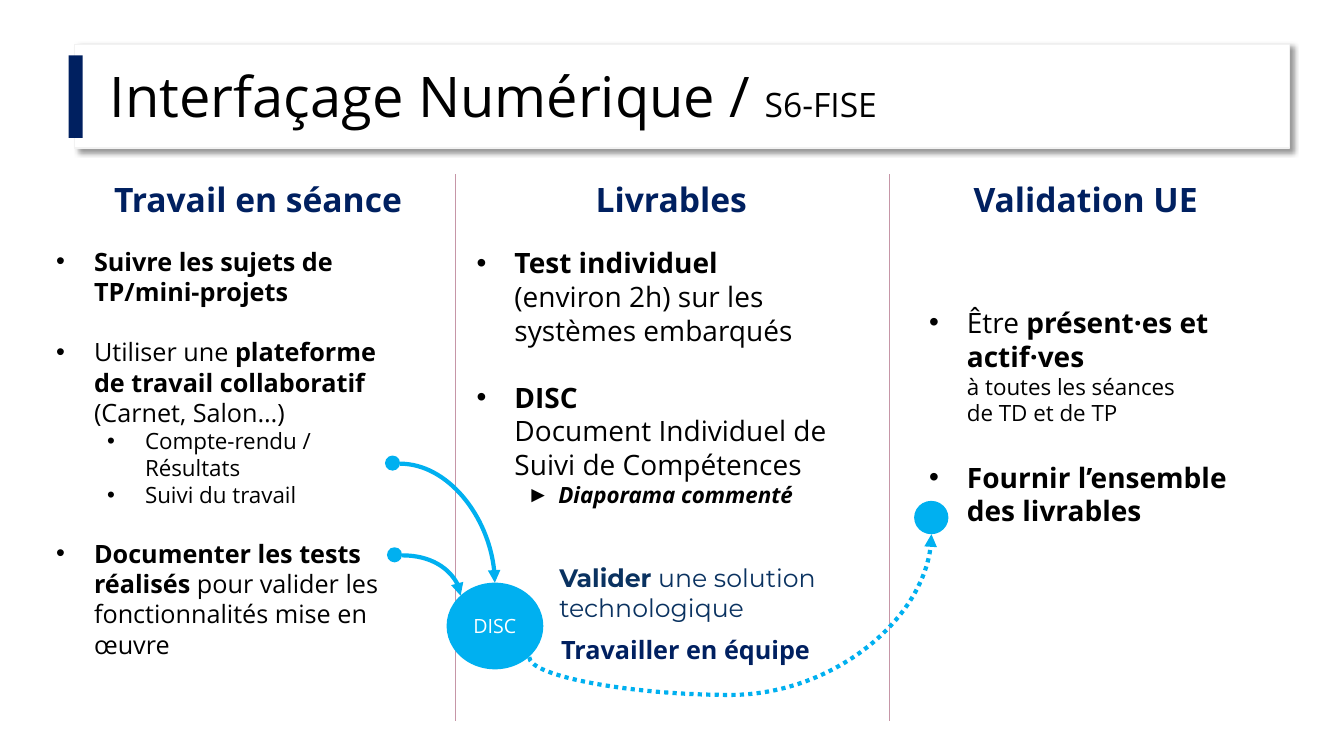
import collections
import copy
import dataclasses

import pptx
import pptx.dml.color
import pptx.enum.dml
import pptx.enum.shapes
import pptx.enum.text
import pptx.oxml
import pptx.oxml.ns
import pptx.util

Pt = pptx.util.Pt
SHAPE = pptx.enum.shapes.MSO_SHAPE
CONNECTOR = pptx.enum.shapes.MSO_CONNECTOR
ALIGN = pptx.enum.text.PP_ALIGN
ANCHOR = pptx.enum.text.MSO_ANCHOR
FIT = pptx.enum.text.MSO_AUTO_SIZE
ROUND_DOT = pptx.enum.dml.MSO_LINE.ROUND_DOT

Box = collections.namedtuple("Box", "left top width height")
Item = collections.namedtuple("Item", "runs bullet level margin hang gap")


@dataclasses.dataclass(frozen=True)
class Theme:
    """Colours, fonts and type sizes of the slide."""
    navy: str = "002060"
    ink: str = "0A3260"
    sky: str = "00B0F0"
    black: str = "000000"
    white: str = "FFFFFF"
    edge: str = "F2F2F2"
    divider: str = "C696A7"
    font: str = "Open Sans"
    accent_font: str = "Montserrat"
    title: int = 40
    heading: int = 24
    large: int = 20
    body: int = 18
    small: int = 16
    label: int = 14


THEME = Theme()


def rgb(code):
    """Return the colour for a hex code."""
    return pptx.dml.color.RGBColor.from_string(code)


def apply(target, values):
    """Set every format value on the target."""
    for name, value in values.items():
        setattr(target, name, value)


def run(text, size, color=THEME.black, **style):
    """Describe a piece of text and its format."""
    return text, color, {"name": THEME.font, "size": Pt(size), "bold": False, **style}


def item(*runs, bullet="•", level=0, margin=27, hang=27, gap=0):
    """Describe a bulleted paragraph."""
    return Item(runs, bullet, level, margin, hang, gap)


def write(paragraph, runs):
    """Write formatted runs, turning newlines into line breaks."""
    for text, color, style in runs:
        for index, part in enumerate(text.split("\n")):
            if index:
                paragraph.add_line_break()
                paragraph._p[-1].append(copy.deepcopy(piece._r.rPr))
            if part:
                piece = paragraph.add_run()
                piece.text = part
                apply(piece.font, style)
                piece.font.color.rgb = rgb(color)


def xml_into(parent, tag, **attributes):
    """Append a drawing element with its attributes."""
    child = pptx.oxml.parse_xml(f"<a:{tag} {pptx.oxml.ns.nsdecls('a')}/>")
    for name, value in attributes.items():
        child.set(name, str(value))
    parent.append(child)
    return child


def add_text(slide, box, runs=(), align=ALIGN.LEFT):
    """Add a wrapping text box and return its frame."""
    frame = slide.shapes.add_textbox(*map(Pt, box)).text_frame
    apply(frame, {"word_wrap": True, "auto_size": FIT.SHAPE_TO_FIT_TEXT})
    frame.paragraphs[0].alignment = align
    write(frame.paragraphs[0], runs)
    return frame


def add_block(slide, kind, box, color):
    """Add a plain filled shape without outline or shadow."""
    block = slide.shapes.add_shape(kind, *map(Pt, box))
    block.shadow.inherit = False
    block.fill.solid()
    block.fill.fore_color.rgb = rgb(color)
    block.line.fill.background()
    return block


def add_line(slide, kind, begin, end, color, width):
    """Add a connector without shadow."""
    line = slide.shapes.add_connector(kind, *map(Pt, begin + end))
    line.line.color.rgb = rgb(color)
    line.line.width = Pt(width)
    xml_into(line._element.spPr, "effectLst")
    return line


def add_arrow(slide, begin, end, preset):
    """Add a curved arrow that uses the given connector preset."""
    arrow = add_line(slide, CONNECTOR.CURVE, begin, end, THEME.sky, 3)
    properties = arrow._element.spPr
    properties.find(pptx.oxml.ns.qn("a:prstGeom")).set("prst", preset)
    xml_into(properties.find(pptx.oxml.ns.qn("a:ln")), "tailEnd", type="triangle")
    return arrow


def add_sweep(slide, begin, end, bulge):
    """Add a dotted arrow that leaves downwards and arrives from below."""
    middle_x, middle_y = ((a + b) / 2 for a, b in zip(begin, end))
    half_x, half_y = (begin[1] - end[1]) / 2, (end[0] - begin[0]) / 2
    sweep = add_arrow(slide, (middle_x + half_x, middle_y + half_y),
                      (middle_x - half_x, middle_y - half_y), "curvedConnector3")
    sweep.line.dash_style = ROUND_DOT
    properties = sweep._element.spPr
    properties.find(pptx.oxml.ns.qn("a:xfrm")).set("rot", "5400000")
    guides = properties.find(".//" + pptx.oxml.ns.qn("a:avLst"))
    xml_into(guides, "gd", name="adj1", fmla=f"val {bulge}")


def add_banner(slide, box):
    """Build the shadowed title banner with its side bar."""
    panel = add_block(slide, SHAPE.RECTANGLE, box, THEME.white)
    panel.line.color.rgb = rgb(THEME.edge)
    panel.line.width = Pt(1)
    effects = panel._element.spPr.find(pptx.oxml.ns.qn("a:effectLst"))
    shadow = xml_into(effects, "outerShdw", blurRad=Pt(4), dist=Pt(3),
                      dir=2700000, algn="tl", rotWithShape=0)
    xml_into(xml_into(shadow, "srgbClr", val=THEME.black), "alpha", val=40000)

    title = slide.shapes.title
    slide.shapes._spTree.append(title._element)
    place = Box(box.left + 18, box.top + 14.4, 706.3, 55.4)
    apply(title, {name: Pt(value) for name, value in place._asdict().items()})
    apply(title.text_frame, {"vertical_anchor": ANCHOR.TOP, "auto_size": FIT.NONE,
                             "word_wrap": True})
    heading = title.text_frame.paragraphs[0]
    apply(heading, {"alignment": ALIGN.LEFT, "line_spacing": 0.9})
    write(heading, [run("Interfaçage Numérique / ", THEME.title),
                    run("S6-FISE", THEME.heading)])
    bar = Box(box.left - 4.3, box.top + 7.9, 10.1, 59)
    add_block(slide, SHAPE.RECTANGLE, bar, THEME.navy)


def add_column(slide, box, heading, heading_shift, drop, items):
    """Build one column with its heading and bulleted list."""
    add_text(slide, Box(box.left + heading_shift, box.top, 226.1, 36),
             [run(heading, THEME.heading, THEME.navy, bold=True)], ALIGN.CENTER)
    frame = add_text(slide, Box(box.left, box.top + drop, box.width, box.height - drop))
    for index, entry in enumerate(items):
        paragraph = frame.add_paragraph() if index else frame.paragraphs[0]
        apply(paragraph, {"level": entry.level, "space_before": Pt(entry.gap)})
        properties = paragraph._p.get_or_add_pPr()
        properties.set("marL", str(Pt(entry.margin)))
        properties.set("indent", str(-Pt(entry.hang)))
        xml_into(properties, "buFont", typeface="Arial")
        xml_into(properties, "buChar", char=entry.bullet)
        write(paragraph, entry.runs)


def add_flow(slide, box):
    """Build the path from the session work through DISC to validation."""
    def at(x, y):
        return box.left + x, box.top + y

    add_text(slide, Box(*at(117.4, 72.8), 205.2, 51.1),
             [run("Valider", THEME.body, THEME.ink, name=THEME.accent_font, bold=True),
              run(" une solution technologique", THEME.body, THEME.ink, name=THEME.accent_font)])
    add_text(slide, Box(*at(118.8, 123.9), 213.1, 28.8),
             [run("Travailler en équipe", THEME.body, THEME.navy, bold=True)])
    for x, y, width, height in ((0, 0, 10.8, 10.8), (1.4, 65.5, 10.8, 10.8),
                                (378, 32.4, 24.5, 23.8)):
        add_block(slide, SHAPE.OVAL, Box(*at(x, y), width, height), THEME.sky)
    disc = add_block(slide, SHAPE.OVAL, Box(*at(44, 90.8), 69.1, 61.9), THEME.sky)
    disc.text_frame.vertical_anchor = ANCHOR.MIDDLE
    label = disc.text_frame.paragraphs[0]
    label.alignment = ALIGN.CENTER
    write(label, [run("DISC", THEME.label, THEME.white)])
    add_arrow(slide, at(10.8, 5.8), at(78.5, 90.8), "curvedConnector2")
    add_arrow(slide, at(12.3, 71.3), at(54, 100.1), "curvedConnector2")
    add_sweep(slide, at(103, 144), at(390.3, 56.2), -30800)


def main():
    """Build and save the slide."""
    deck = pptx.Presentation()
    apply(deck, {"slide_width": Pt(960), "slide_height": Pt(540)})
    slide = deck.slides.add_slide(deck.slide_layouts[5])
    add_banner(slide, Box(53.3, 31.7, 867.6, 74.2))
    large, body, small = THEME.large, THEME.body, THEME.small
    add_column(slide, Box(33.1, 124.6, 264.2, 333.3), "Travail en séance", 38.2, 47.5, [
        item(run("Suivre les sujets de TP/mini-projets", body, bold=True)),
        item(run("Utiliser une ", body),
             run("plateforme de travail collaboratif ", body, bold=True),
             run("(Carnet, Salon…)", body), gap=21.6),
        item(run("Compte-rendu / Résultats", small), level=1, margin=63.4),
        item(run("Suivi du travail", small), level=1, margin=63.4),
        item(run("Documenter les tests réalisés ", body, bold=True),
             run("pour valider les fonctionnalités mise en œuvre", body), gap=21.6)])
    add_column(slide, Box(333.4, 124.6, 264.2, 244.1), "Livrables", 33.1, 47.5, [
        item(run("Test individuel ", large, bold=True),
             run("(environ 2h) sur les systèmes embarqués", large)),
        item(run("DISC \n", large, bold=True),
             run("Document Individuel de Suivi de Compétences", large), gap=24),
        item(run("Diaporama commenté", small, bold=True, italic=True),
             bullet="►", level=1, margin=58.3, hang=22.3)])
    add_column(slide, Box(656.6, 124.6, 264.2, 257), "Validation UE", 5.8, 90, [
        item(run("Être ", large), run("présent·es et actif·ves \n", large, bold=True),
             run("à toutes les séances \nde TD et de TP", small)),
        item(run("Fournir l’ensemble des livrables", large, bold=True), gap=24)])
    for x in (325.4, 635):
        add_line(slide, CONNECTOR.STRAIGHT, (x, 124.6), (x, 514.8), THEME.divider, 0.5)
    add_flow(slide, Box(275, 325.4, 402.5, 175))
    deck.save("out.pptx")


if __name__ == "__main__":
    main()
